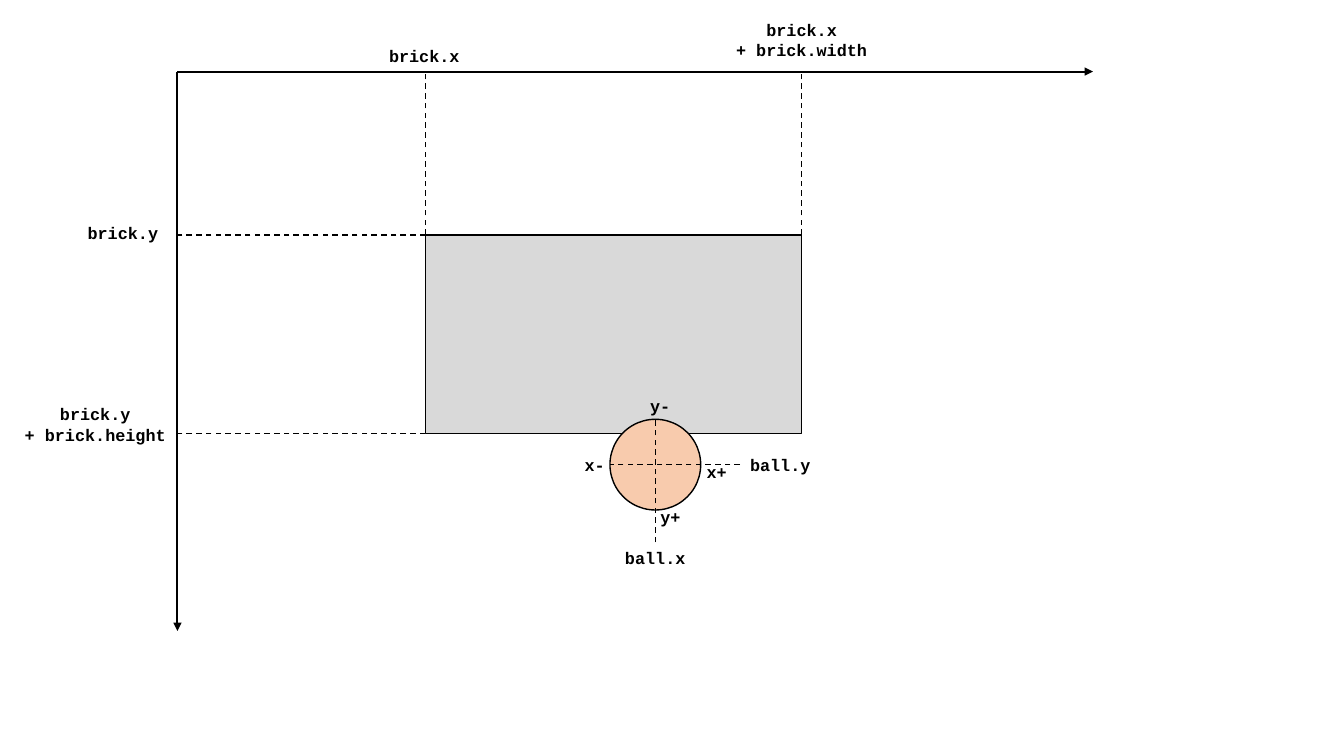
from dataclasses import dataclass

from pptx import Presentation
from pptx import util as u
from pptx.dml.color import RGBColor
from pptx.enum import dml, shapes, text
from pptx.oxml import ns, xmlchemy

COLORS = {"ink": "000000", "brick": "D9D9D9", "ball": "F8CBAD"}
FONT = "Courier New"


@dataclass(frozen=True)
class Box:
    left: float
    top: float
    width: float
    height: float

    @property
    def right(self) -> float:
        return self.left + self.width

    @property
    def bottom(self) -> float:
        return self.top + self.height

    def lengths(self) -> list[u.Length]:
        return [u.Inches(v) for v in (self.left, self.top, self.width, self.height)]


@dataclass(frozen=True)
class Line:
    x1: float
    y1: float
    x2: float
    y2: float


@dataclass(frozen=True)
class Label:
    wording: str
    box: Box
    wrap: bool = False


def color(name: str) -> RGBColor:
    return RGBColor.from_string(COLORS[name])


def add_outlined(s, kind: shapes.MSO_SHAPE, box: Box, fill: str):
    sp = s.shapes.add_shape(kind, *box.lengths())
    sp.shadow.inherit = False
    sp.fill.solid()
    sp.fill.fore_color.rgb = color(fill)
    sp.line.color.rgb = color("ink")
    sp.line.width = u.Pt(1)
    return sp


def add_line(s, line: Line, width: float):
    ends = [u.Inches(v) for v in (line.x1, line.y1, line.x2, line.y2)]
    c = s.shapes.add_connector(shapes.MSO_CONNECTOR.STRAIGHT, *ends)
    c.line.color.rgb = color("ink")
    c.line.width = u.Pt(width)
    c._element.spPr.append(xmlchemy.OxmlElement("a:effectLst"))
    return c


def add_axis(s, line: Line) -> None:
    c = add_line(s, line, 1.5)
    tail = xmlchemy.OxmlElement("a:tailEnd")
    tail.set("type", "triangle")
    c._element.spPr.find(ns.qn("a:ln")).append(tail)


def add_guide(s, line: Line) -> None:
    add_line(s, line, 1).line.dash_style = dml.MSO_LINE.DASH


def add_label(s, label: Label) -> None:
    tf = s.shapes.add_textbox(*label.box.lengths()).text_frame
    tf.text = label.wording
    tf.word_wrap = label.wrap
    tf.auto_size = text.MSO_AUTO_SIZE.SHAPE_TO_FIT_TEXT
    for p in tf.paragraphs:
        if len(tf.paragraphs) > 1:
            p.alignment = text.PP_ALIGN.CENTER
        for r in p.runs:
            r.font.name = FONT
            r.font.size = u.Pt(12)
            r.font.bold = True
            r.font.color.rgb = color("ink")


ORIGIN_X, ORIGIN_Y = 1.76, 0.71
BRICK = Box(4.22, 2.33, 3.73, 1.97)
BALL = Box(6.05, 4.16, 0.9, 0.9)
BALL_X = BALL.left + BALL.width / 2
BALL_Y = BALL.top + BALL.height / 2

AXES = [
    Line(ORIGIN_X, ORIGIN_Y, ORIGIN_X, 6.26),
    Line(ORIGIN_X, ORIGIN_Y, 10.84, ORIGIN_Y),
]
BRICK_GUIDES = [
    *(Line(x, BRICK.top, x, ORIGIN_Y) for x in (BRICK.left, BRICK.right)),
    *(Line(BRICK.left, y, ORIGIN_X, y) for y in (BRICK.bottom, BRICK.top)),
]
BALL_GUIDES = [
    Line(7.34, BALL_Y, BALL.left, BALL_Y),
    Line(BALL_X, 5.38, BALL_X, BALL.top),
]
LABELS = [
    Label("brick.x", Box(3.76, 0.4, 0.91, 0.3)),
    Label("brick.y", Box(0.77, 2.16, 0.91, 0.3)),
    Label("brick.x\n+ brick.width", Box(7.19, 0.15, 1.52, 0.5)),
    Label("brick.y\n+ brick.height", Box(0.13, 3.96, 1.63, 0.5)),
    Label("ball.y", Box(7.34, 4.46, 0.81, 0.3)),
    Label("ball.x", Box(6.1, 5.38, 0.81, 0.3)),
    Label("y+", Box(6.45, 4.98, 0.49, 0.3), wrap=True),
    Label("x+", Box(6.91, 4.53, 0.49, 0.3), wrap=True),
    Label("y-", Box(6.35, 3.88, 0.49, 0.3), wrap=True),
    Label("x-", Box(5.7, 4.46, 0.49, 0.3), wrap=True),
]

prs = Presentation()
prs.slide_width = u.Inches(13.33)
prs.slide_height = u.Inches(7.5)
s = prs.slides.add_slide(prs.slide_layouts[6])

add_outlined(s, shapes.MSO_SHAPE.RECTANGLE, BRICK, "brick")
for axis in AXES:
    add_axis(s, axis)
for guide in BRICK_GUIDES:
    add_guide(s, guide)
add_outlined(s, shapes.MSO_SHAPE.OVAL, BALL, "ball")
for guide in BALL_GUIDES:
    add_guide(s, guide)
for label in LABELS:
    add_label(s, label)

prs.save("out.pptx")
